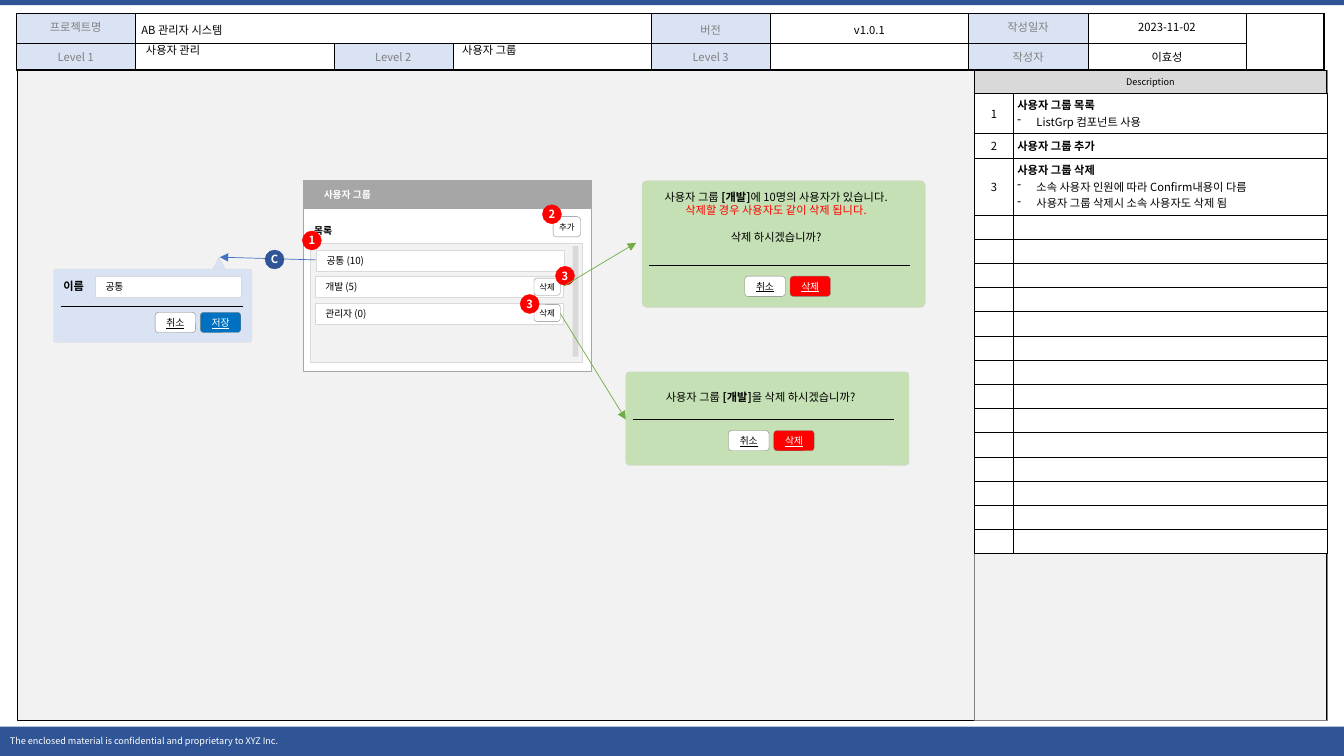
from typing import Any, NamedTuple, Optional
from lxml import etree
from pptx import Presentation
from pptx.dml.color import RGBColor
from pptx.enum.shapes import MSO_CONNECTOR, MSO_SHAPE
from pptx.enum.text import MSO_ANCHOR, PP_ALIGN
from pptx.oxml.ns import qn
from pptx.util import Cm, Pt

RECT, ROUND = MSO_SHAPE.RECTANGLE, MSO_SHAPE.ROUNDED_RECTANGLE
OVAL, PEAK = MSO_SHAPE.OVAL, MSO_SHAPE.ISOSCELES_TRIANGLE
STRAIGHT = MSO_CONNECTOR.STRAIGHT
LEFT, MID = PP_ALIGN.LEFT, PP_ALIGN.CENTER
TOP, CENTER = MSO_ANCHOR.TOP, MSO_ANCHOR.MIDDLE
WHITE, BLACK = RGBColor(0xFF, 0xFF, 0xFF), RGBColor(0, 0, 0)
NAVY, BLUE = RGBColor(0x2F, 0x55, 0x97), RGBColor(0x44, 0x72, 0xC4)
SAVE, PALE = RGBColor(0x00, 0x70, 0xC0), RGBColor(0xDA, 0xE3, 0xF3)
SMOKE, SILVER = RGBColor(0xF2, 0xF2, 0xF2), RGBColor(0xD9, 0xD9, 0xD9)
ASH, GRAY = RGBColor(0xA6, 0xA6, 0xA6), RGBColor(0x80, 0x80, 0x80)
RED, MINT = RGBColor(0xFF, 0, 0), RGBColor(0xC5, 0xE0, 0xB4)
GREEN = RGBColor(0x70, 0xAD, 0x47)
FACE = "Noto Sans CJK KR"
PLAIN, SNUG, NONE = (0.25, 0.13, 0.25, 0.13), (0.1, 0.1, 0.1, 0.1), (0, 0, 0, 0)
PITCH = {"line_spacing": Pt(9.6)}


class Run(NamedTuple):
    text: str
    color: RGBColor = BLACK
    form: dict[str, Any] = {}


class Para(NamedTuple):
    runs: tuple[Run, ...]
    align: Any = LEFT
    form: dict[str, Any] = {}
    bullet: bool = False


class Box(NamedTuple):
    x: float
    y: float
    w: float
    h: float
    fill: Optional[RGBColor] = None
    line: Optional[RGBColor] = None
    kind: Any = RECT
    paras: tuple[Para, ...] = ()
    inset: tuple[float, ...] = PLAIN
    wrap: bool = True
    round: Optional[float] = None


class Panel(NamedTuple):
    box: Box
    rule: float
    span: float
    drop: float
    shift: float
    label: str
    color: RGBColor


class Grid(NamedTuple):
    x: float
    y: float
    cols: list[float]
    rows: list[float]
    inset: tuple[float, ...]
    anchor: Any
    heavy: bool = False


def say(text: str, size: float = 8, color: RGBColor = BLACK, align: Any = LEFT, **form: Any) -> Para:
    return Para((Run(text, color, {"size": Pt(size), **form}),), align)

def write(frame: Any, paras: tuple[Para, ...]) -> None:
    for i, para in enumerate(paras):
        p = frame.add_paragraph() if i else frame.paragraphs[0]
        for key, value in {"alignment": para.align, **para.form}.items():
            setattr(p, key, value)
        if para.bullet:
            props = p._p.get_or_add_pPr()
            props.set("marL", str(Cm(0.48)))
            props.set("indent", str(-Cm(0.48)))
            etree.SubElement(props, qn("a:buChar"), char="-")
        for part in para.runs:
            run = p.add_run()
            run.text = part.text
            for key, value in {"name": FACE, "size": Pt(8), "bold": False, **part.form}.items():
                setattr(run.font, key, value)
            run.font.color.rgb = part.color
            etree.SubElement(run._r.get_or_add_rPr(), qn("a:ea"), typeface=FACE)

def pad(owner: Any, inset: tuple[float, ...]) -> None:
    for side, size in zip(("left", "top", "right", "bottom"), inset):
        setattr(owner, f"margin_{side}", Cm(size))

def draw(slide: Any, box: Box) -> None:
    shape = slide.shapes.add_shape(box.kind, *(Cm(v) for v in box[:4]))
    shape.shadow.inherit = False
    for part, color in ((shape.fill, box.fill), (shape.line.fill, box.line)):
        if color is None:
            part.background()
        else:
            part.solid()
            part.fore_color.rgb = color
    if box.line is not None:
        shape.line.width = Pt(0.25)
    if box.round:
        shape.adjustments[0] = box.round
    frame = shape.text_frame
    frame.word_wrap, frame.vertical_anchor = box.wrap, CENTER
    pad(frame, box.inset)
    write(frame, box.paras)

def link(slide: Any, ends: tuple[float, ...], color: RGBColor = BLACK, head: bool = True) -> None:
    wire = slide.shapes.add_connector(STRAIGHT, *(Cm(v) for v in ends))
    wire.line.color.rgb, wire.line.width = color, Pt(0.5)
    if head:
        etree.SubElement(wire.line._get_or_add_ln(), qn("a:tailEnd"), type="triangle")
    etree.SubElement(wire._element.spPr, qn("a:effectLst"))

def button(x: float, y: float, text: str, fill: RGBColor = WHITE, color: RGBColor = BLACK) -> Box:
    return Box(x, y, 1.02, 0.51, fill, GRAY, ROUND, (say(text, 7, color, MID, underline=True),), SNUG)

def chip(x: float, y: float, w: float, h: float, text: str) -> Box:
    return Box(x, y, w, h, WHITE, GRAY, ROUND, (say(text, 6, align=MID),), SNUG)

def badge(x: float, y: float, text: str, fill: RGBColor = RED) -> Box:
    return Box(x, y, 0.48, 0.48, fill, fill, OVAL, (say(text, 8, WHITE, MID, bold=True),), NONE)

def entry(x: float, y: float, w: float, text: str) -> Box:
    return Box(x, y, w, 0.53, WHITE, SILVER, paras=(say(text, 7),))

def label(x: float, y: float, w: float, h: float, *paras: Para, wrap: bool = False) -> Box:
    return Box(x, y, w, h, paras=paras, wrap=wrap)

def popup(slide: Any, panel: Panel) -> None:
    left, low = panel.box.x + 0.18, panel.rule + panel.drop
    draw(slide, panel.box)
    link(slide, (left, panel.rule, left + panel.span, panel.rule), head=False)
    draw(slide, button(panel.box.x + panel.shift, low, "취소"))
    draw(slide, button(panel.box.x + panel.shift + 1.14, low, panel.label, panel.color, WHITE))

def edge(cell: Any, bold: str) -> None:
    for i, side in enumerate("LRTB"):
        line = etree.Element(qn(f"a:ln{side}"), w=str(Pt(1.5 if side in bold else 0.25)))
        etree.SubElement(etree.SubElement(line, qn("a:solidFill")), qn("a:srgbClr"), val=str(BLACK))
        cell._tc.get_or_add_tcPr().insert(i, line)

def table(slide: Any, grid: Grid, texts: dict, fills: dict, merges: tuple = ()) -> None:
    rows, cols = len(grid.rows), len(grid.cols)
    spot = (grid.x, grid.y, sum(grid.cols), sum(grid.rows))
    tab = slide.shapes.add_table(rows, cols, *(Cm(v) for v in spot)).table
    for item, width in zip(tab.columns, grid.cols):
        item.width = Cm(width)
    for item, height in zip(tab.rows, grid.rows):
        item.height = Cm(height)
    for r, c, r2, c2 in merges:
        tab.cell(r, c).merge(tab.cell(r2, c2))
    for r, c in ((r, c) for r in range(rows) for c in range(cols)):
        cell, last = tab.cell(r, c), c == cols - 1
        cell.fill.solid()
        cell.fill.fore_color.rgb = fills.get((r, c), WHITE)
        cell.vertical_anchor = grid.anchor
        pad(cell, grid.inset)
        edge(cell, ("R" * last + "B" * (last or r == rows - 1)) * grid.heavy)
        write(cell.text_frame, texts.get((r, c), ()))
        if (r, c) not in texts:
            etree.SubElement(cell.text_frame.paragraphs[0]._p, qn("a:endParaRPr"), sz="800")

def ask(tail: str) -> Para:
    return Para((Run("사용자 그룹 "), Run("[개발]", BLACK, {"bold": True}), Run(tail)), MID, PITCH)

def note(title: str, *items: str) -> tuple[Para, ...]:
    return (say(title, bold=True), *(Para((Run(item),), bullet=True) for item in items))

def main() -> None:
    deck = Presentation()
    deck.slide_width, deck.slide_height = Cm(33.87), Cm(19.05)
    slide = deck.slides.add_slide(deck.slide_layouts[6])
    legal = say("The enclosed material is confidential and proprietary to XYZ Inc.", 6.5, WHITE)
    draw(slide, Box(0, 0, 33.87, 0.13, NAVY))
    draw(slide, Box(0, 18.31, 33.87, 0.74, NAVY, paras=(legal,), wrap=False))
    names = {(0, 0): "프로젝트명", (0, 4): "버전", (0, 6): "작성일자", (1, 0): "Level 1",
             (1, 2): "Level 2", (1, 4): "Level 3", (1, 6): "작성자"}
    heads = {at: say(text, 8, GRAY, MID) for at, text in names.items()}
    heads |= {(0, 1): say("AB 관리자 시스템"), (0, 5): say("v1.0.1", align=MID),
              (0, 7): say("2023-11-02", align=MID), (1, 7): say("이효성", align=MID)}
    loose = {at: {"line_spacing": 1.2} for at in ((0, 1), (0, 4), (0, 5))}
    cells = {at: (para._replace(form=loose.get(at, {})),) for at, para in heads.items()}
    head = Grid(0.41, 0.33, [3, 5, 3, 5, 3, 5, 3, 4, 1.95], [0.74, 0.66], (0.15, 0.13, 0.15, 0.13), TOP, True)
    table(slide, head, cells, dict.fromkeys(names, PALE), ((0, 1, 0, 3), (0, 8, 1, 8)))
    draw(slide, Box(0.43, 1.78, 32.99, 16.36, SMOKE, BLACK))
    draw(slide, Box(24.56, 1.78, 8.88, 16.36, None, GRAY))
    draw(slide, Box(24.56, 1.78, 8.86, 0.56, SILVER, BLACK, paras=(say("Description", 6.5, align=MID),)))
    notes = (note("사용자 그룹 목록", "ListGrp 컴포넌트 사용"), note("사용자 그룹 추가"),
             note("사용자 그룹 삭제", "소속 사용자 인원에 따라 Confirm내용이 다름", "사용자 그룹 삭제시 소속 사용자도 삭제 됨"))
    texts = {(i, 1): text for i, text in enumerate(notes)}
    texts |= {(i, 0): (say(str(i + 1), align=MID),) for i in range(len(notes))}
    table(slide, Grid(24.56, 2.34, [0.98, 7.9], [1.02, 0.61, 1.43] + [0.61] * 14, SNUG, CENTER), texts, {})
    title = say("사용자 그룹", 7, WHITE, bold=True)
    for box in (Box(7.65, 5.21, 7.24, 4.14, WHITE, ASH),
                Box(7.65, 4.55, 7.24, 0.71, ASH, ASH, paras=(title,), inset=(0.51, 0, 0, 0)),
                label(7.67, 5.54, 1.02, 0.56, say("목록", 7, bold=True)),
                Box(7.82, 6.12, 6.86, 3.02, SMOKE, SILVER), Box(14.43, 6.2, 0.15, 2.79, SILVER),
                chip(13.94, 5.46, 0.69, 0.51, "추가"), Box(5.28, 6.48, 0.48, 0.48, PALE, SILVER, PEAK)):
        draw(slide, box)
    link(slide, (8, 6.55, 5.54, 6.48), BLUE)
    blue = Box(1.35, 6.78, 5, 1.85, PALE, SILVER, ROUND, round=0.04)
    popup(slide, Panel(blue, 7.72, 4.6, 0.15, 2.56, "저장", SAVE))
    for x, y, h, rule in ((16.18, 4.55, 3.2, 6.68), (15.77, 9.37, 2.36, 10.57)):
        mint = Box(x, y, 7.14, h, MINT, SILVER, ROUND, round=0.04)
        popup(slide, Panel(mint, rule, 6.58, 0.28, 2.59, "삭제", RED))
    warn = (ask("에 10명의 사용자가 있습니다."),
            Para((Run("삭제할 경우 사용자도 같이 삭제 됩니다.", RED),), MID, PITCH),
            Para((Run("삭제 하시겠습니까?"),), MID, {**PITCH, "space_before": Pt(9.6)}))
    for box in (entry(2.41, 6.96, 3.68, "공통"), label(1.35, 6.91, 1.09, 0.61, say("이름", bold=True)),
                label(3.43, 0.95, 5, 0.61, say("사용자 관리"), wrap=True),
                label(11.4, 0.95, 5, 0.61, say("사용자 그룹"), wrap=True),
                entry(7.98, 6.3, 6.25, "공통 (10)"), entry(7.95, 6.96, 6.25, "개발 (5)"),
                entry(7.95, 7.65, 6.25, "관리자 (0)"),
                chip(13.46, 7.01, 0.66, 0.43, "삭제"), chip(13.46, 7.67, 0.66, 0.43, "삭제"),
                badge(7.62, 5.82, "1"), badge(13.67, 5.16, "2"), badge(6.68, 6.3, "C", NAVY),
                badge(14, 6.71, "3"), badge(13.11, 7.42, "3"), label(16.18, 4.65, 6.76, 1.63, *warn),
                label(16.26, 9.7, 5.82, 0.61, ask("을 삭제 하시겠습니까?"))):
        draw(slide, box)
    for ends in ((14.2, 7.21, 16.03, 6.12), (14.12, 7.9, 15.77, 10.57)):
        link(slide, ends, GREEN)
    deck.save("out.pptx")

if __name__ == "__main__":
    main()
